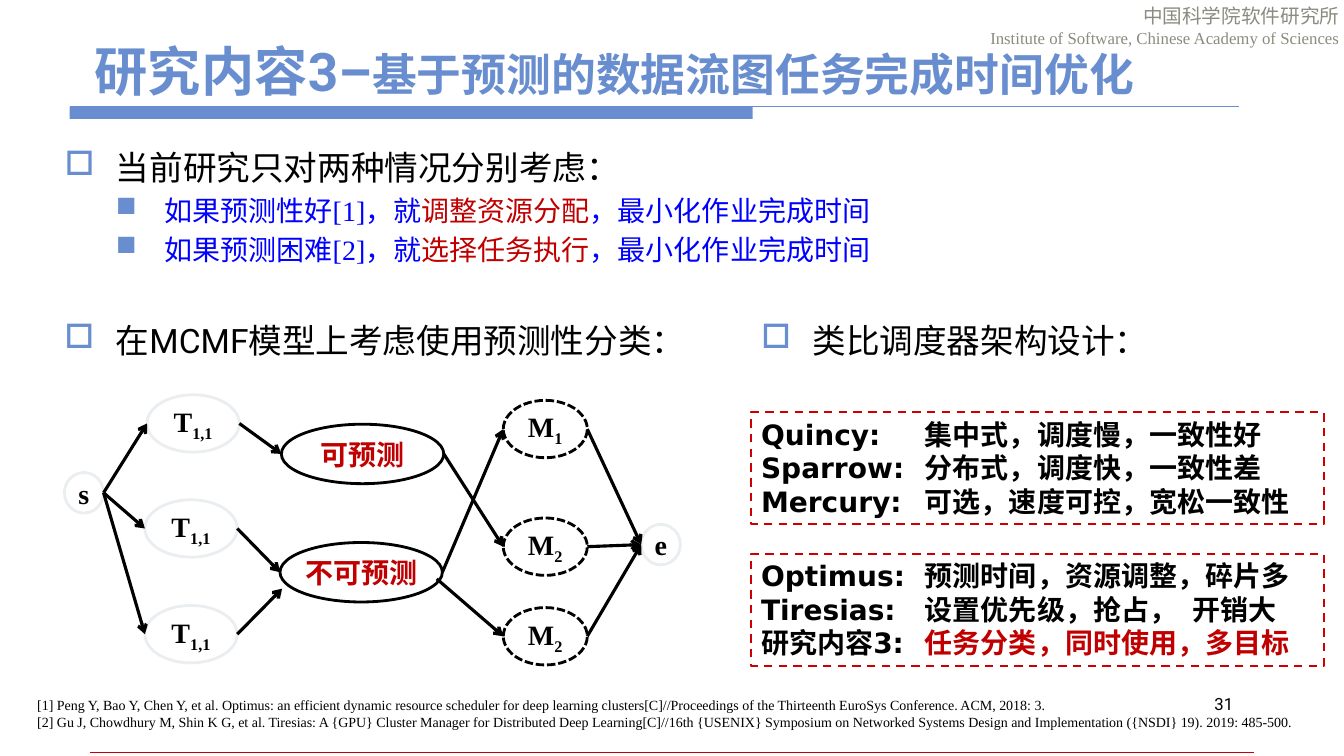
from lxml import etree
from pptx import Presentation
from pptx.dml.color import RGBColor
from pptx.enum import dml, shapes, text
from pptx.oxml import ns
from pptx.util import Pt

BLUE = RGBColor(0x69, 0x8E, 0xCF)
LINK_BLUE = RGBColor(0x00, 0x00, 0xFF)
DARK_RED = RGBColor(0xC0, 0x00, 0x00)
RED = RGBColor(0xCC, 0x00, 0x00)
GREY = RGBColor(0x8B, 0x8B, 0x7F)
PALE = RGBColor(0xEB, 0xEE, 0xF1)
BLACK = RGBColor(0x00, 0x00, 0x00)
WHITE = RGBColor(0xFF, 0xFF, 0xFF)
SERIF, SANS, MONO, HAN = "Times New Roman", "Roboto", "DejaVu Sans", "Noto Sans CJK SC"
LEFT, CENTER, RIGHT = text.PP_ALIGN.LEFT, text.PP_ALIGN.CENTER, text.PP_ALIGN.RIGHT
DASH = dml.MSO_LINE.DASH
SYS_DASH = dml.MSO_LINE.SQUARE_DOT


def set_paragraph(para, spans, size, color, name, bold=False, align=LEFT):
    """Fill a paragraph with (text, colour) spans in one font."""
    para.alignment = align
    font = para.font
    font.size, font.bold, font.name = Pt(size), bold, name
    font.color.rgb = color
    defaults = para._p.get_or_add_pPr().find(ns.qn("a:defRPr"))
    etree.SubElement(defaults, ns.qn("a:ea"), typeface=HAN)
    for words, tint in spans:
        span = para.add_run()
        span.text = words
        if tint is not None:
            span.font.color.rgb = tint
    return defaults


def add_paragraphs(frame, count):
    """Return the given number of paragraphs of an empty frame."""
    return [frame.paragraphs[0]] + [frame.add_paragraph() for _ in range(count - 1)]


def add_text_box(page, box):
    """Add a wrapping text box and return its frame."""
    frame = page.shapes.add_textbox(*map(Pt, box)).text_frame
    frame.word_wrap = True
    return frame


def add_outline(page, kind, box, color, width, fill=None, dash=None):
    """Add an outlined preset shape without shadow."""
    shape = page.shapes.add_shape(kind, *map(Pt, box))
    shape.shadow.inherit = False
    if fill is None:
        shape.fill.background()
    else:
        shape.fill.solid()
        shape.fill.fore_color.rgb = fill
    shape.line.color.rgb = color
    shape.line.width = Pt(width)
    if dash is not None:
        shape.line.dash_style = dash
    return shape


def add_line(page, start, end, color, width, arrow=False):
    """Add a straight line, with an arrowhead at its end if wanted."""
    line = page.shapes.add_connector(
        shapes.MSO_CONNECTOR.STRAIGHT, *map(Pt, (*start, *end)))
    line.line.color.rgb = color
    line.line.width = Pt(width)
    if arrow:
        etree.SubElement(line.line._get_or_add_ln(), ns.qn("a:tailEnd"), type="arrow")
    etree.SubElement(line._element.spPr, ns.qn("a:effectLst"))


def add_frame(page, box):
    """Draw the heading rule, the bottom rule and the institute name."""
    left, top, width, height = box
    add_line(page, (left, top), (left + width, top), BLUE, 0.75)
    bar = page.shapes.add_shape(
        shapes.MSO_SHAPE.RECTANGLE, *map(Pt, (left, top, 488, 8.6)))
    bar.shadow.inherit = False
    bar.fill.solid()
    bar.fill.fore_color.rgb = BLUE
    bar.line.fill.background()
    add_line(page, (64, top + height), (896, top + height), RED, 0.25)
    names = add_paragraphs(add_text_box(page, (556, -0.7, 408, 39)), 2)
    set_paragraph(names[0], [("中国科学院软件研究所", None)], 14, GREY, HAN, align=RIGHT)
    set_paragraph(names[1], [("Institute of Software, Chinese Academy of Sciences", None)],
                  12, GREY, SERIF, align=RIGHT)


def add_title(page, box):
    """Place and format the title placeholder."""
    title = page.shapes.title
    title.left, title.top, title.width, title.height = map(Pt, box)
    frame = title.text_frame
    frame.auto_size = text.MSO_AUTO_SIZE.NONE
    frame.vertical_anchor = text.MSO_ANCHOR.BOTTOM
    para = frame.paragraphs[0]
    set_paragraph(para, [("研究内容3–", None), ("基于预测的数据流图任务完成时间优化", None)],
                  38, BLUE, SANS, bold=True)
    para.runs[1].font.size = Pt(32)


def add_bullets(page, box, items):
    """Add a bullet list of (level, spans) items."""
    paras = add_paragraphs(add_text_box(page, box), len(items))
    for para, (level, spans) in zip(paras, items):
        size, color, name, mark, margin, hang = (
            (20, LINK_BLUE, SERIF, "■", 71.3, 34.6) if level
            else (24, BLACK, SANS, "□", 36.7, 36.7))
        para.level = level
        para.space_before = Pt(size * 0.2)
        defaults = set_paragraph(para, spans, size, color, name)
        props = para._p.pPr
        props.set("marL", str(Pt(margin)))
        props.set("indent", str(-Pt(hang)))
        tint = etree.Element(ns.qn("a:buClr"))
        etree.SubElement(tint, ns.qn("a:srgbClr"), val=str(BLUE))
        defaults.addprevious(tint)
        defaults.addprevious(etree.Element(ns.qn("a:buChar"), char=mark))


def add_flow_graph(page, box):
    """Draw the flow network from s through tasks and machines to e."""
    left, top = box[:2]
    end, task, machine, kind = (28, 29), (66, 41), (60, 41), (116, 42.5)
    pale, dashed, plain = (PALE, 2, WHITE), (BLACK, 2, WHITE, SYS_DASH), (BLACK, 2)
    nodes = {
        "s": (0, 55.5, end, pale, "s", ""),
        "t1": (59, 0, task, pale, "T", "1,1"),
        "t2": (57.5, 75, task, pale, "T", "1,1"),
        "t3": (57.5, 150.5, task, pale, "T", "1,1"),
        "known": (155, 21, kind, plain, "可预测", ""),
        "unknown": (154, 105.5, kind, plain, "不可预测", ""),
        "m1": (313.5, 4, machine, dashed, "M", "1"),
        "m2": (313.5, 88, machine, dashed, "M", "2"),
        "m3": (313.5, 152, machine, dashed, "M", "2"),
        "e": (412, 92.5, end, pale, "e", ""),
    }
    entry, leave = {}, {}
    for key, (x, y, (width, height), style, label, index) in nodes.items():
        x, y = left + x, top + y
        entry[key], leave[key] = (x, y + height / 2), (x + width, y + height / 2)
        node = add_outline(page, shapes.MSO_SHAPE.OVAL, (x, y, width, height), *style)
        frame = node.text_frame
        frame.word_wrap = False
        frame.vertical_anchor = text.MSO_ANCHOR.MIDDLE
        frame.margin_left = frame.margin_right = frame.margin_top = frame.margin_bottom = 0
        color = DARK_RED if key.endswith("known") else BLACK
        spans = [(words, None) for words in (label, index) if words]
        set_paragraph(frame.paragraphs[0], spans, 20, color, SERIF, True, CENTER)
        if index:
            frame.paragraphs[0].runs[1].font._element.set("baseline", "-25000")
    entry["unknown low"] = (left + 155.5, top + 138.5)
    leave["unknown low"] = (left + 266, top + 131.5)
    for source, target in (
            ("s", "t1"), ("s", "t2"), ("s", "t3"), ("t1", "known"), ("t2", "unknown"),
            ("t3", "unknown low"), ("known", "m2"), ("unknown", "m1"),
            ("unknown low", "m3"), ("m1", "e"), ("m2", "e"), ("m3", "e")):
        add_line(page, leave[source], entry[target], BLACK, 2.25, arrow=True)


def add_comparison(page, box, rows):
    """Add a dashed box of schedulers with their traits in tabbed columns."""
    panel = add_outline(page, shapes.MSO_SHAPE.RECTANGLE, box, RED, 1.5, dash=DASH)
    frame = panel.text_frame
    frame.word_wrap = True
    frame.vertical_anchor = text.MSO_ANCHOR.TOP
    for para, (name, traits, color) in zip(add_paragraphs(frame, len(rows)), rows):
        defaults = set_paragraph(para, [(name + "\t", None), (traits, color)],
                                 20, BLACK, MONO, bold=True)
        tabs = etree.Element(ns.qn("a:tabLst"))
        for stop in (117, 308):
            etree.SubElement(tabs, ns.qn("a:tab"), pos=str(Pt(stop)), algn="l")
        defaults.addprevious(tabs)


def add_footer(page, box):
    """Add the references and the page number."""
    left, top, width, height = box
    number = add_text_box(page, (688, top - 2, 200, 36)).paragraphs[0]
    set_paragraph(number, [("31", None)], 12, BLACK, SANS, align=RIGHT)
    sources = (
        "[1] Peng Y, Bao Y, Chen Y, et al. Optimus: an efficient dynamic resource scheduler for deep learning clusters[C]//Proceedings of the Thirteenth EuroSys Conference. ACM, 2018: 3.",
        "[2] Gu J, Chowdhury M, Shin K G, et al. Tiresias: A {GPU} Cluster Manager for Distributed Deep Learning[C]//16th {USENIX} Symposium on Networked Systems Design and Implementation ({NSDI} 19). 2019: 485-500.",
    )
    for para, source in zip(add_paragraphs(add_text_box(page, box), 2), sources):
        set_paragraph(para, [(source, None)], 10, BLACK, SERIF)


def main():
    """Build the slide and save it."""
    deck = Presentation()
    deck.slide_width, deck.slide_height = Pt(960), Pt(540)
    page = deck.slides.add_slide(deck.slide_layouts[5])
    add_frame(page, (49.7, 76.3, 835.3, 461))
    add_title(page, (60.5, 23.8, 840, 52.5))
    goal = ("，最小化作业完成时间", None)
    add_bullets(page, (39, 101.5, 849, 106), [
        (0, [("当前研究只对两种情况分别考虑：", None)]),
        (1, [("如果预测性好[1]，就", None), ("调整资源分配", DARK_RED), goal]),
        (1, [("如果预测困难[2]，就", None), ("选择任务执行", DARK_RED), goal])])
    add_bullets(page, (39, 225, 490, 40), [(0, [("在MCMF模型上考虑使用预测性分类：", None)])])
    add_bullets(page, (536.5, 225, 314, 40), [(0, [("类比调度器架构设计：", None)])])
    add_flow_graph(page, (46, 282, 440, 192))
    add_comparison(page, (536.5, 294.5, 409, 80), [
        ("Quincy:", "集中式，调度慢，一致性好", None),
        ("Sparrow:", "分布式，调度快，一致性差", None),
        ("Mercury:", "可选，速度可控，宽松一致性", None)])
    add_comparison(page, (536.5, 395.5, 409, 80), [
        ("Optimus:", "预测时间，资源调整，碎片多", None),
        ("Tiresias:", "设置优先级，抢占，\t开销大", None),
        ("研究内容3:", "任务分类，同时使用，多目标", DARK_RED)])
    add_footer(page, (19.5, 494, 921, 32))
    deck.save("out.pptx")


if __name__ == "__main__":
    main()
